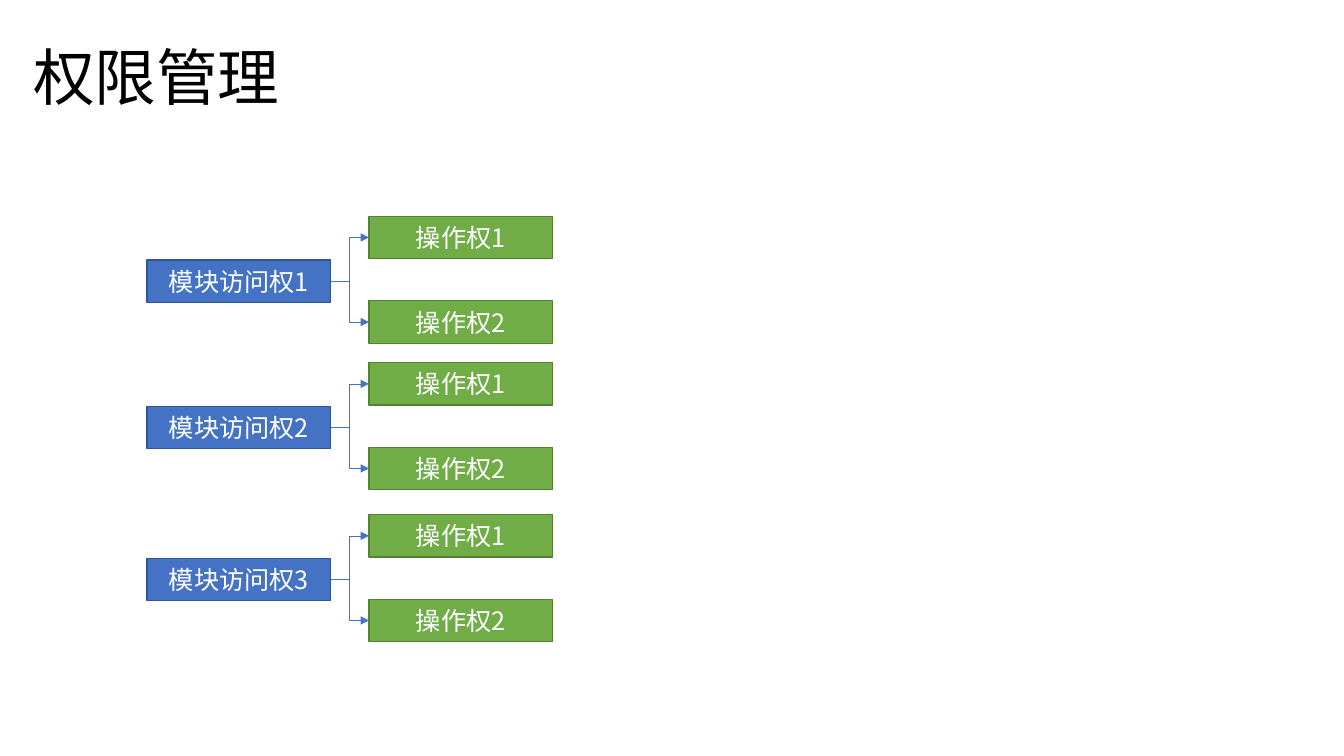
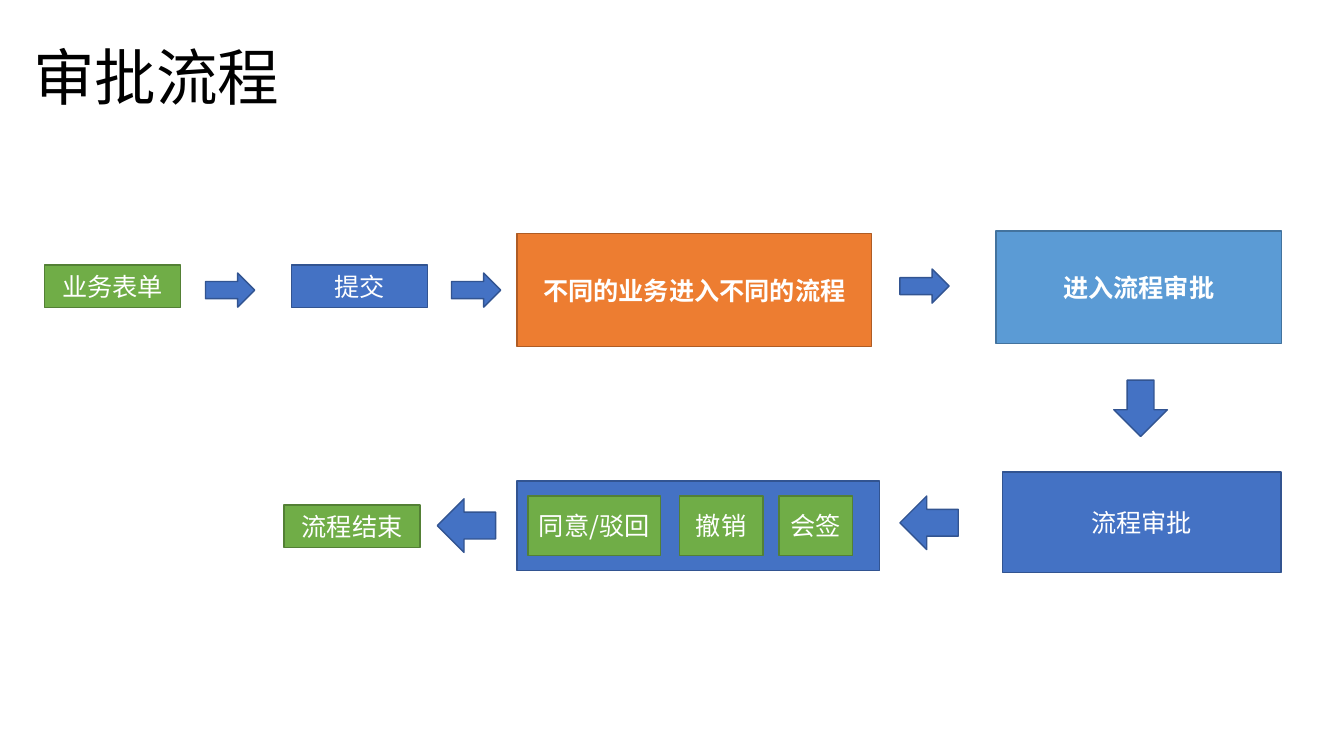
"""Build two slides: a permission tree and an approval flow."""
from lxml import etree
from pptx import Presentation
from pptx.dml.color import RGBColor
from pptx.enum.shapes import MSO_CONNECTOR, MSO_SHAPE
from pptx.enum.text import MSO_ANCHOR, PP_ALIGN
from pptx.oxml.ns import qn
from pptx.util import Cm, Pt

RECTANGLE = MSO_SHAPE.RECTANGLE
RIGHT, LEFT, DOWN = MSO_SHAPE.RIGHT_ARROW, MSO_SHAPE.LEFT_ARROW, MSO_SHAPE.DOWN_ARROW
ELBOW = MSO_CONNECTOR.ELBOW
MIDDLE = MSO_ANCHOR.MIDDLE
ALIGN_LEFT, ALIGN_CENTER = PP_ALIGN.LEFT, PP_ALIGN.CENTER
LEFT_SITE, RIGHT_SITE = 1, 3
TITLE_ONLY = 5

FONT = "Noto Sans CJK SC"
BLACK, WHITE = "000000", "FFFFFF"
BLUE = ("4472C4", "325491")
GREEN = ("70AD47", "538035")
ORANGE = ("ED7D31", "AF5C24")
SKY = ("5B9BD5", "43739E")

TITLE_BOX = (0.58, 0.18, 29.21, 3.68)
TITLE_FORMAT = {"name": FONT, "size": Pt(44), "bold": False}
LABEL_FORMAT = {"name": FONT, "size": Pt(18), "bold": False}
STRONG_FORMAT = {**LABEL_FORMAT, "bold": True}

MODULES = [("模块访问权1", 6.55), ("模块访问权2", 10.24), ("模块访问权3", 14.07)]
OPERATIONS = [("操作权1", -1.1), ("操作权2", 1.03)]
MODULE_LEFT, OPERATION_LEFT = 3.71, 9.3
TREE_BOX = (4.62, 1.07)

STEP_BOX, STAGE_HEIGHT = (3.43, 1.07), 2.84
STEPS = [
    ("业务表单", (1.12, 6.68, *STEP_BOX), GREEN, LABEL_FORMAT),
    ("提交", (7.34, 6.68, *STEP_BOX), BLUE, LABEL_FORMAT),
    ("不同的业务进入不同的流程", (13.03, 5.89, 8.94, STAGE_HEIGHT), ORANGE, STRONG_FORMAT),
    ("进入流程审批", (25.1, 5.82, 7.19, STAGE_HEIGHT), SKY, STRONG_FORMAT),
    ("流程审批", (25.27, 11.89, 7.01, 2.54), BLUE, LABEL_FORMAT),
    ("", (13.03, 12.12, 9.14, 2.26), BLUE, LABEL_FORMAT),
    ("流程结束", (7.16, 12.73, *STEP_BOX), GREEN, LABEL_FORMAT),
]
ACTIONS = [("同意/驳回", 13.31, 3.33), ("撤销", 17.12, 2.11), ("会签", 19.63, 1.85)]
ACTION_TOP, ACTION_HEIGHT = 12.5, 1.5
ARROW_SIZES = {RIGHT: (1.24, 0.86), LEFT: (1.47, 1.35), DOWN: (1.35, 1.42)}
ARROWS = [
    (RIGHT, 5.18, 6.88), (RIGHT, 11.38, 6.88), (RIGHT, 22.68, 6.78),
    (DOWN, 28.07, 9.58), (LEFT, 22.68, 12.5), (LEFT, 11.02, 12.57),
]


def color(value):
    """Return the colour for a hex string."""
    return RGBColor.from_string(value)


def write_text(shape, text, font_format, text_color, alignment):
    """Write one formatted line of text into a shape."""
    shape.text_frame.vertical_anchor = MIDDLE
    shape.text_frame.word_wrap = True
    paragraph = shape.text_frame.paragraphs[0]
    paragraph.alignment = alignment
    run = paragraph.add_run()
    run.text = text
    for name, value in font_format.items():
        setattr(run.font, name, value)
    run.font.color.rgb = color(text_color)
    east_asian = etree.SubElement(run._r.get_or_add_rPr(), qn("a:ea"))
    east_asian.set("typeface", FONT)
    return paragraph


def add_titled_slide(presentation, text):
    """Add a slide with the shared title style."""
    slide = presentation.slides.add_slide(presentation.slide_layouts[TITLE_ONLY])
    title = slide.shapes.title
    for name, value in zip(("left", "top", "width", "height"), TITLE_BOX):
        setattr(title, name, Cm(value))
    paragraph = write_text(title, text, TITLE_FORMAT, BLACK, ALIGN_LEFT)
    paragraph.line_spacing = 0.9
    return slide


def add_block(slide, kind, box, colors, text="", font_format=LABEL_FORMAT):
    """Add a filled, outlined shape with an optional label."""
    shape = slide.shapes.add_shape(kind, *map(Cm, box))
    shape.shadow.inherit = False
    fill, outline = colors
    shape.fill.solid()
    shape.fill.fore_color.rgb = color(fill)
    shape.line.color.rgb = color(outline)
    shape.line.width = Pt(1)
    if text:
        write_text(shape, text, font_format, WHITE, ALIGN_CENTER)
    return shape


def add_branch(slide, start, end):
    """Join two shapes with an elbow arrow."""
    connector = slide.shapes.add_connector(ELBOW, 0, 0, 0, 0)
    connector.begin_connect(start, RIGHT_SITE)
    connector.end_connect(end, LEFT_SITE)
    connector.line.color.rgb = color(BLUE[0])
    connector.line.width = Pt(0.5)
    etree.SubElement(connector.line._get_or_add_ln(), qn("a:tailEnd"), type="triangle")
    etree.SubElement(connector._element.spPr, qn("a:effectLst"))


def build_permissions(presentation):
    """Draw each module right with its operation rights."""
    slide = add_titled_slide(presentation, "权限管理")
    for module_text, top in MODULES:
        module = add_block(slide, RECTANGLE, (MODULE_LEFT, top, *TREE_BOX), BLUE, module_text)
        for operation_text, offset in OPERATIONS:
            box = (OPERATION_LEFT, top + offset, *TREE_BOX)
            operation = add_block(slide, RECTANGLE, box, GREEN, operation_text)
            add_branch(slide, module, operation)


def build_approval(presentation):
    """Draw the approval steps, actions and arrows."""
    slide = add_titled_slide(presentation, "审批流程")
    for text, box, colors, font_format in STEPS:
        add_block(slide, RECTANGLE, box, colors, text, font_format)
    for text, left, width in ACTIONS:
        add_block(slide, RECTANGLE, (left, ACTION_TOP, width, ACTION_HEIGHT), GREEN, text)
    for kind, left, top in ARROWS:
        add_block(slide, kind, (left, top, *ARROW_SIZES[kind]), BLUE)


def main():
    """Build and save the presentation."""
    presentation = Presentation()
    presentation.slide_width, presentation.slide_height = Cm(33.87), Cm(19.05)
    build_permissions(presentation)
    build_approval(presentation)
    presentation.save("out.pptx")


if __name__ == "__main__":
    main()
